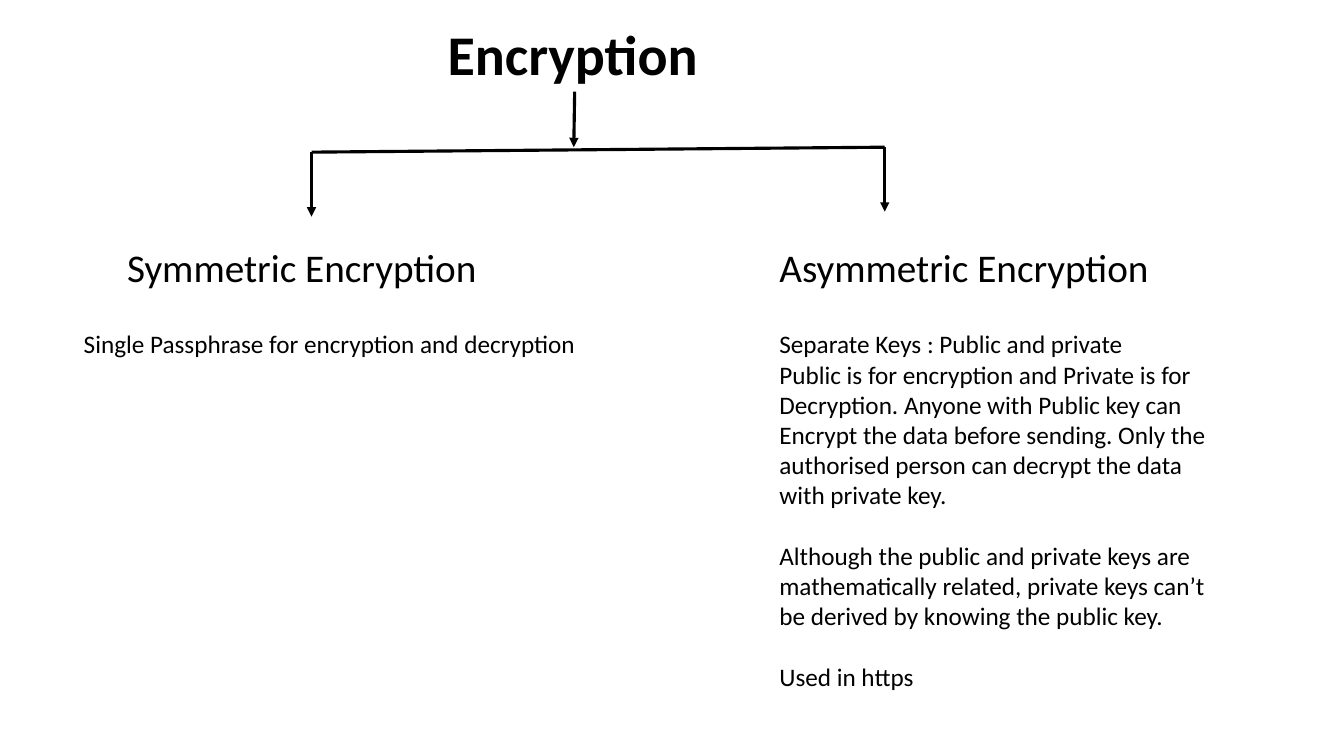
from lxml import etree
from pptx import Presentation
from pptx.dml.color import RGBColor
from pptx.enum.shapes import MSO_CONNECTOR
from pptx.enum.text import MSO_ANCHOR, MSO_AUTO_SIZE, PP_ALIGN
from pptx.oxml.ns import qn
from pptx.util import Inches, Pt

STRAIGHT = MSO_CONNECTOR.STRAIGHT
TOP = MSO_ANCHOR.TOP
FIXED_SIZE = MSO_AUTO_SIZE.NONE
LEFT = PP_ALIGN.LEFT
COMPARISON_LAYOUT = 4


def color(hex_code):
    return RGBColor.from_string(hex_code)


class EncryptionSlide:
    """Places elements by percentages of the slide's width and height."""

    font = "Calibri"
    ink = "000000"
    line_width = 2.25

    def __init__(self, deck):
        self.deck = deck
        self.slide = deck.slides.add_slide(deck.slide_layouts[COMPARISON_LAYOUT])

    def x(self, share):
        return round(self.deck.slide_width * share / 100)

    def y(self, share):
        return round(self.deck.slide_height * share / 100)

    def text(self, placeholder, paragraphs, box, size, bold=False, wrap=True, gap=0):
        """Fill a placeholder; a paragraph given as (text,) starts a new block."""
        holder = self.slide.placeholders[placeholder]
        left, top, width, height = box
        holder.left, holder.top = self.x(left), self.y(top)
        holder.width, holder.height = self.x(width), self.y(height)
        frame = holder.text_frame
        frame.text = "\n".join(paragraphs)
        frame.auto_size = FIXED_SIZE
        frame.word_wrap = wrap
        frame.vertical_anchor = TOP
        for position, paragraph in enumerate(frame.paragraphs):
            properties = paragraph._p.get_or_add_pPr()
            properties.set("marL", "0")
            properties.set("indent", "0")
            etree.SubElement(properties, qn("a:buNone"))
            paragraph.alignment = LEFT
            paragraph.space_before = Pt(gap if position > 1 else 0)
            for run in paragraph.runs:
                run.font.name = self.font
                run.font.size = Pt(size)
                run.font.bold = bold
                run.font.color.rgb = color(self.ink)

    def line(self, start, end, arrow=True):
        connector = self.slide.shapes.add_connector(
            STRAIGHT, self.x(start[0]), self.y(start[1]), self.x(end[0]), self.y(end[1]))
        connector.line.color.rgb = color(self.ink)
        connector.line.width = Pt(self.line_width)
        if arrow:
            outline = connector.line._get_or_add_ln()
            etree.SubElement(outline, qn("a:tailEnd"), type="triangle")
        etree.SubElement(connector._element.spPr, qn("a:effectLst"))


def main():
    deck = Presentation()
    deck.slide_width, deck.slide_height = Inches(13.33), Inches(7.5)
    page = EncryptionSlide(deck)

    # Title
    page.text(0, ["Encryption"], (32.56, 1.87, 20.4, 10.27), 40, bold=True, wrap=False)

    # Branching arrows
    symmetric_corner, asymmetric_corner = (23.18, 20.13), (65.83, 19.47)
    page.line((42.76, 12.13), (42.69, 19.47))
    page.line(symmetric_corner, asymmetric_corner, arrow=False)
    for corner_x, corner_y in (symmetric_corner, asymmetric_corner):
        page.line((corner_x, corner_y), (corner_x, corner_y + 8.53))

    # Branch headings
    heading_top, heading_height, heading_size = 31.47, 7.6, 28
    asymmetric_left = 57.24
    page.text(1, ["Symmetric Encryption"],
              (8.7, heading_top, 29.07, heading_height), heading_size)
    page.text(3, ["Asymmetric Encryption"],
              (asymmetric_left, heading_top, 29.07, heading_height), heading_size)

    # Branch descriptions
    description_top, description_size = 42.8, 18
    page.text(2, ["Single Passphrase for encryption and decryption"],
              (5.48, description_top, 38.56, 5.33), description_size, wrap=False)
    page.text(4, [
        "Separate Keys : Public and private",
        "Public is for encryption and Private is for Decryption. Anyone with Public key "
        "can Encrypt the data before sending. Only the authorised person can decrypt "
        "the data with private key.",
        "Although the public and private keys are mathematically related, private keys "
        "can’t be derived by knowing the public key.",
        "Used in https",
    ], (asymmetric_left, description_top, 33.46, 53.87), description_size, gap=21.6)

    deck.save("out.pptx")


if __name__ == "__main__":
    main()
